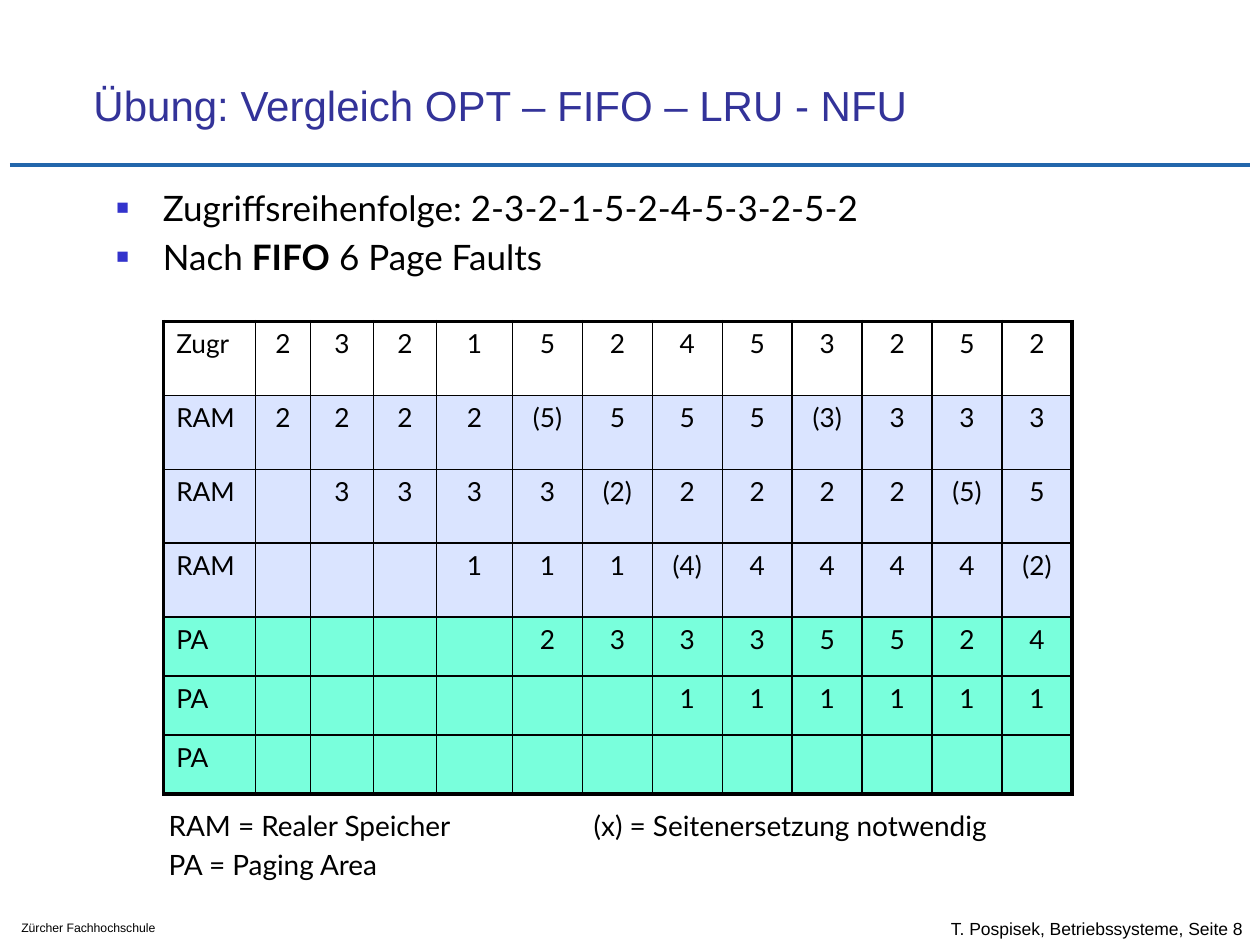
"""Builds a slide that traces FIFO page replacement in a table."""
from lxml import etree
from pptx import Presentation
from pptx import util as u
from pptx.dml.color import RGBColor
from pptx.enum import shapes, text
from pptx.oxml.ns import qn

HUES = {"ink": "000000", "title": "333399", "mark": "3333CC", "rule": "2266AB",
        "Zugr": "FFFFFF", "RAM": "DAE4FF", "PA": "79FFDC"}
TITLE = "Übung: Vergleich OPT – FIFO – LRU - NFU"
POINTS = [[("Zugriffsreihenfolge: 2-3-2-1-5-2-4-5-3-2-5-2", False)],
          [("Nach ", False), ("FIFO", True), (" 6 Page Faults", False)]]
GRID = [
    ["Zugr", "2", "3", "2", "1", "5", "2", "4", "5", "3", "2", "5", "2"],
    ["RAM", "2", "2", "2", "2", "(5)", "5", "5", "5", "(3)", "3", "3", "3"],
    ["RAM", "", "3", "3", "3", "3", "(2)", "2", "2", "2", "2", "(5)", "5"],
    ["RAM", "", "", "", "1", "1", "1", "(4)", "4", "4", "4", "4", "(2)"],
    ["PA", "", "", "", "", "2", "3", "3", "3", "5", "5", "2", "4"],
    ["PA", "", "", "", "", "", "", "1", "1", "1", "1", "1", "1"],
    ["PA"] + [""] * 12,
]
WIDTHS = [1.85, 1.11, 1.27, 1.27, 1.53] + [1.41] * 8
HEIGHTS = [1.49] * 4 + [1.19] * 3
THIN, THICK = 0.96, 2.21
LEGEND = ["RAM = Realer Speicher\t(x) = Seitenersetzung notwendig", "PA = Paging Area"]
# fmt: off
NOTES = [
    (["T. Pospisek, Betriebssysteme, Seite 8"], (18.92, 18.29, 6.4, 0.84), 10, "Arial", "MIDDLE"),
    (["Zürcher Fachhochschule"], (0.18, 18.42, 4.37, 0.56), 7, "Arial", "TOP"),
    (LEGEND, (3.15, 16.18, 20.32, 1.7), 16, "Lato", "TOP"),
]
# fmt: on


def place(shape, box):
    shape.left, shape.top, shape.width, shape.height = map(u.Cm, box)


def style(para, size, face, hue="ink"):
    for run in para.runs:
        run.font.size = u.Pt(size)
        run.font.name = face
        run.font.color.rgb = RGBColor.from_string(HUES[hue])


def add(node, tag, **attrs):
    return etree.SubElement(node, qn("a:" + tag), attrs)


def tint(node, hue):
    add(node, "srgbClr", val=HUES[hue])


def bullet(para):
    props = para._p.get_or_add_pPr()
    props.set("marL", str(u.Cm(0.97)))
    props.set("indent", str(u.Cm(-0.94)))
    tint(add(props, "buClr"), "mark")
    add(props, "buSzPct", val="60000")
    add(props, "buFont", typeface="Arial")
    add(props, "buChar", char="■")


def border(cell, sides):
    props = cell._tc.get_or_add_tcPr()
    for tag, width in sides.items():
        line = add(props, tag, w=str(u.Pt(width)))
        tint(add(line, "solidFill"), "ink")


def add_rule(slide):
    y = u.Cm(3.33)
    rule = slide.shapes.add_connector(
        shapes.MSO_CONNECTOR.STRAIGHT, u.Cm(0.2), y, u.Cm(25.2), y)
    rule.line.color.rgb = RGBColor.from_string(HUES["rule"])
    rule.line.width = u.Pt(2.5)
    add(rule._element.spPr, "effectLst")


def fill_heads(slide):
    title, body = slide.placeholders
    place(title, (1.63, 0.84, 21.64, 1.9))
    frame = title.text_frame
    frame.text = TITLE
    frame.auto_size = text.MSO_AUTO_SIZE.NONE
    frame.vertical_anchor = text.MSO_ANCHOR.BOTTOM
    frame.paragraphs[0].alignment = text.PP_ALIGN.LEFT
    style(frame.paragraphs[0], 24, "Arial", "title")

    place(body, (2.06, 3.63, 21.23, 2.74))
    frame = body.text_frame
    frame.auto_size = text.MSO_AUTO_SIZE.NONE
    for i, parts in enumerate(POINTS):
        para = frame.add_paragraph() if i else frame.paragraphs[0]
        bullet(para)
        para.space_before = u.Pt(4 if i else 0)
        for words, bold in parts:
            run = para.add_run()
            run.text = words
            run.font.bold = bold
        style(para, 20, "Lato")


def add_note(slide, lines, box, size, face, anchor):
    frame = slide.shapes.add_textbox(*map(u.Cm, box)).text_frame
    frame.word_wrap = True
    frame.vertical_anchor = text.MSO_ANCHOR[anchor]
    frame.text = "\n".join(lines)
    for i, para in enumerate(frame.paragraphs):
        if "\t" in para.text:
            tabs = add(para._p.get_or_add_pPr(), "tabLst")
            add(tabs, "tab", pos=str(u.Cm(8.57)), algn="l")
        if i:
            para.space_before = u.Pt(3.2)
        style(para, size, face)


def add_grid(slide):
    rows, cols = len(GRID), len(WIDTHS)
    box = (3.3, 6.48, sum(WIDTHS), sum(HEIGHTS))
    table = slide.shapes.add_table(rows, cols, *map(u.Cm, box)).table
    table.first_row = table.horz_banding = False
    for col, width in zip(table.columns, WIDTHS):
        col.width = u.Cm(width)
    for row, height in zip(table.rows, HEIGHTS):
        row.height = u.Cm(height)
    for r, values in enumerate(GRID):
        for c, value in enumerate(values):
            cell = table.cell(r, c)
            cell.text = value
            para = cell.text_frame.paragraphs[0]
            para.alignment = text.PP_ALIGN.CENTER if c else text.PP_ALIGN.LEFT
            style(para, 15, "Lato")
            border(cell, {
                "lnL": THIN if c else THICK,
                "lnR": THICK if c == cols - 1 else THIN,
                "lnT": THIN if r else THICK,
                "lnB": THICK if r == rows - 1 else THIN,
            })
            cell.fill.solid()
            cell.fill.fore_color.rgb = RGBColor.from_string(HUES[values[0]])


def main():
    deck = Presentation()
    deck.slide_width, deck.slide_height = u.Cm(25.4), u.Cm(19.05)
    slide = deck.slides.add_slide(deck.slide_layouts[1])
    add_rule(slide)
    fill_heads(slide)
    for note in NOTES:
        add_note(slide, *note)
    add_grid(slide)
    deck.save("out.pptx")


if __name__ == "__main__":
    main()
